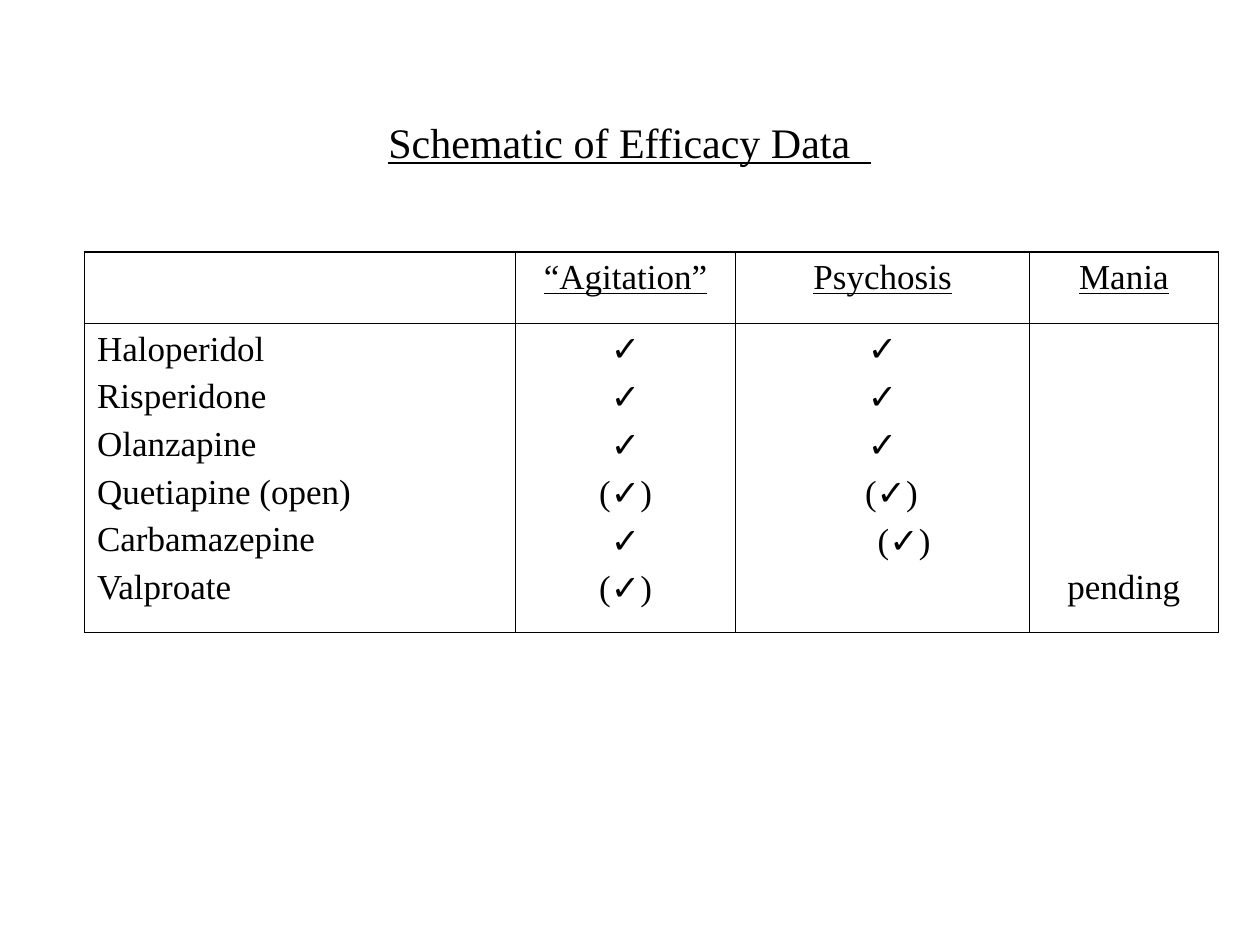
"""Builds the slide that charts which drugs have efficacy data."""
from dataclasses import dataclass

from lxml.etree import SubElement as Sub
from pptx import Presentation
from pptx.dml.color import RGBColor as Color
from pptx.enum.text import MSO_ANCHOR as Anchor, PP_ALIGN as Align
from pptx.oxml.ns import qn
from pptx.util import Inches, Pt


@dataclass(frozen=True)
class Theme:
    """Colours, fonts, type sizes and line widths."""
    ink: str = "000000"
    font: str = "Times New Roman"
    mark_font: str = "Arial"
    title_size: int = 24
    body_size: int = 20
    space_before: int = 5
    outer_line: float = 1.08
    inner_line: float = 0.45


THEME = Theme()
WIDTH, HEIGHT = 10, 7.5
COLUMNS = (3.42, 1.75, 2.33, 1.5)
ROWS = (0.57, 2.45)
CHECK = "✓"
BRACKETED = "(✓)"
TITLE = "Schematic of Efficacy Data  "
HEADINGS = ("“Agitation”", "Psychosis", "Mania")
DRUGS = ("Haloperidol", "Risperidone", "Olanzapine",
         "Quetiapine (open)", "Carbamazepine", "Valproate")
AGITATION = (CHECK, CHECK, CHECK, BRACKETED, CHECK, BRACKETED)
PSYCHOSIS = (CHECK, CHECK, CHECK, BRACKETED, BRACKETED)
PSYCHOSIS_INDENTS = {3: 0.14, 4: 0.34}


def add_span(para, text, size, underline=False):
    """Add one run, in the mark font if it is a check mark."""
    span = para.add_run()
    span.text = text
    font = span.font
    font.name = THEME.mark_font if text == CHECK else THEME.font
    font.size = Pt(size)
    font.color.rgb = Color.from_string(THEME.ink)
    if underline:
        font.underline = True


def add_title(page, text):
    """Add the underlined, centred title."""
    shares = (0.075, 0.09, 0.85, 0.12)
    lengths = (WIDTH, HEIGHT, WIDTH, HEIGHT)
    box = page.shapes.add_textbox(*(Inches(s * n) for s, n in zip(shares, lengths)))
    frame = box.text_frame
    frame.word_wrap = True
    frame.vertical_anchor = Anchor.MIDDLE
    para = frame.paragraphs[0]
    para.alignment = Align.CENTER
    add_span(para, text, THEME.title_size, underline=True)


def write_lines(cell, lines, align=Align.CENTER, underline=False, indents=None):
    """Write one paragraph per line, with check marks as runs of their own."""
    frame = cell.text_frame
    for index, line in enumerate(lines):
        para = frame.add_paragraph() if index else frame.paragraphs[0]
        para.alignment = align
        if index:
            para.space_before = Pt(THEME.space_before)
        if indents and index in indents:
            para._p.get_or_add_pPr().set("marL", str(Inches(indents[index])))
        pieces = ("(", CHECK, ")") if line == BRACKETED else (line,)
        for piece in pieces:
            add_span(para, piece, THEME.body_size, underline)


def rule_cell(cell, row, column):
    """Draw thick lines on the table's edge and thin ones inside, with no fill."""
    edges = {"a:lnL": column == 0, "a:lnR": column == len(COLUMNS) - 1,
             "a:lnT": row == 0, "a:lnB": row == len(ROWS) - 1}
    properties = cell._tc.get_or_add_tcPr()
    for tag, is_outer in edges.items():
        width = Pt(THEME.outer_line if is_outer else THEME.inner_line)
        line = Sub(properties, qn(tag), w=str(width))
        Sub(Sub(line, qn("a:solidFill")), qn("a:srgbClr"), val=THEME.ink)
    cell.fill.background()


def add_grid(page):
    """Add the ruled, unfilled table and return it."""
    frame = page.shapes.add_table(len(ROWS), len(COLUMNS), Inches(0.67), Inches(2),
                                  Inches(sum(COLUMNS)), Inches(sum(ROWS)))
    table = frame.table
    table.first_row = table.horz_banding = False
    for column, width in zip(table.columns, COLUMNS):
        column.width = Inches(width)
    for row, height in zip(table.rows, ROWS):
        row.height = Inches(height)
    for row in range(len(ROWS)):
        for column in range(len(COLUMNS)):
            rule_cell(table.cell(row, column), row, column)
    return table


def fill_grid(table):
    """Write the headings, drugs and marks into the table."""
    for column, heading in enumerate(HEADINGS, start=1):
        write_lines(table.cell(0, column), [heading], underline=True)
    write_lines(table.cell(1, 0), DRUGS, align=Align.LEFT)
    write_lines(table.cell(1, 1), AGITATION)
    write_lines(table.cell(1, 2), PSYCHOSIS, indents=PSYCHOSIS_INDENTS)
    mania = table.cell(1, 3)
    mania.vertical_anchor = Anchor.BOTTOM
    mania.margin_bottom = Inches(0.2)
    write_lines(mania, ["pending"])


def main():
    """Build and save the deck."""
    deck = Presentation()
    deck.slide_width, deck.slide_height = Inches(WIDTH), Inches(HEIGHT)
    page = deck.slides.add_slide(deck.slide_layouts[6])
    add_title(page, TITLE)
    fill_grid(add_grid(page))
    deck.save("out.pptx")


if __name__ == "__main__":
    main()
